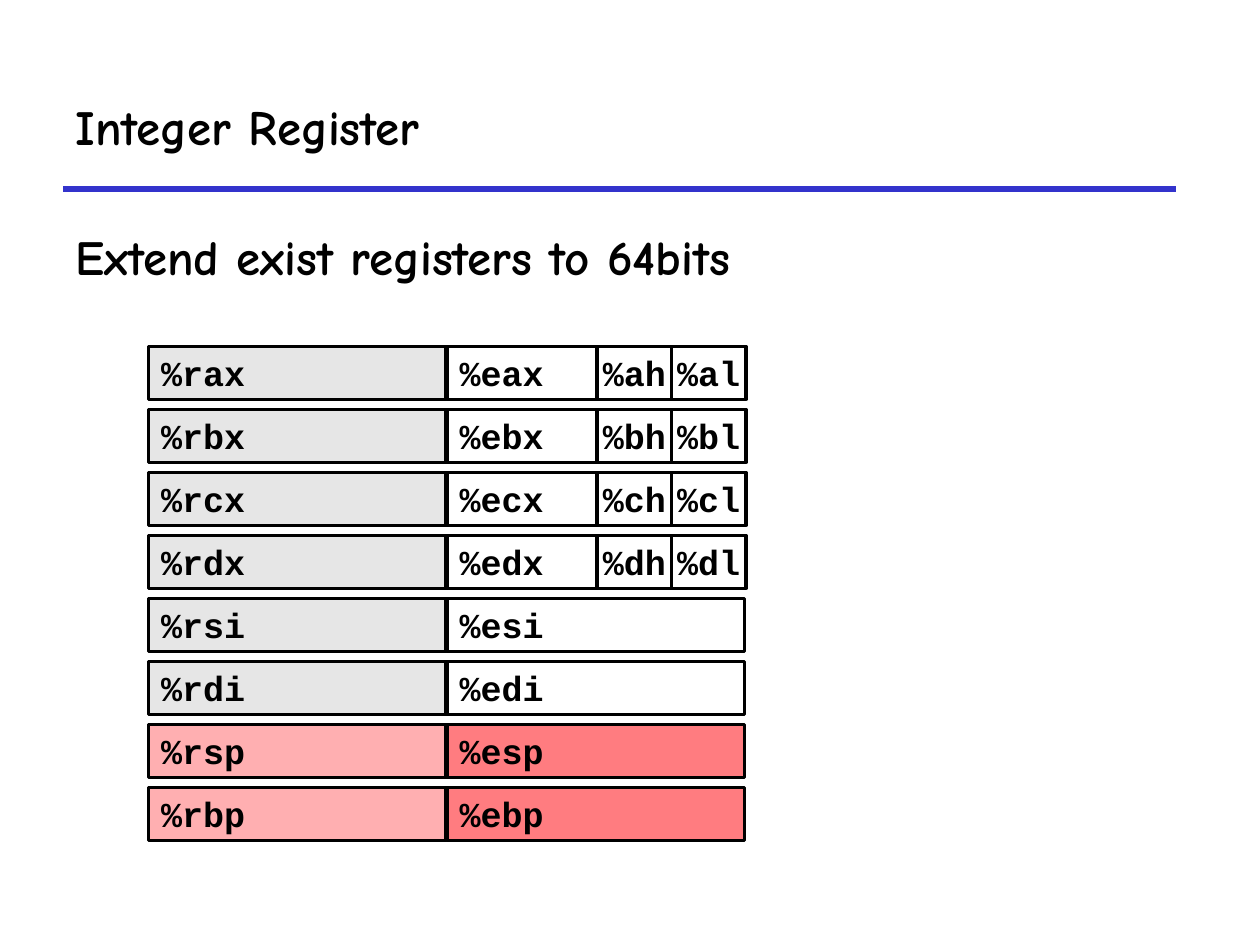
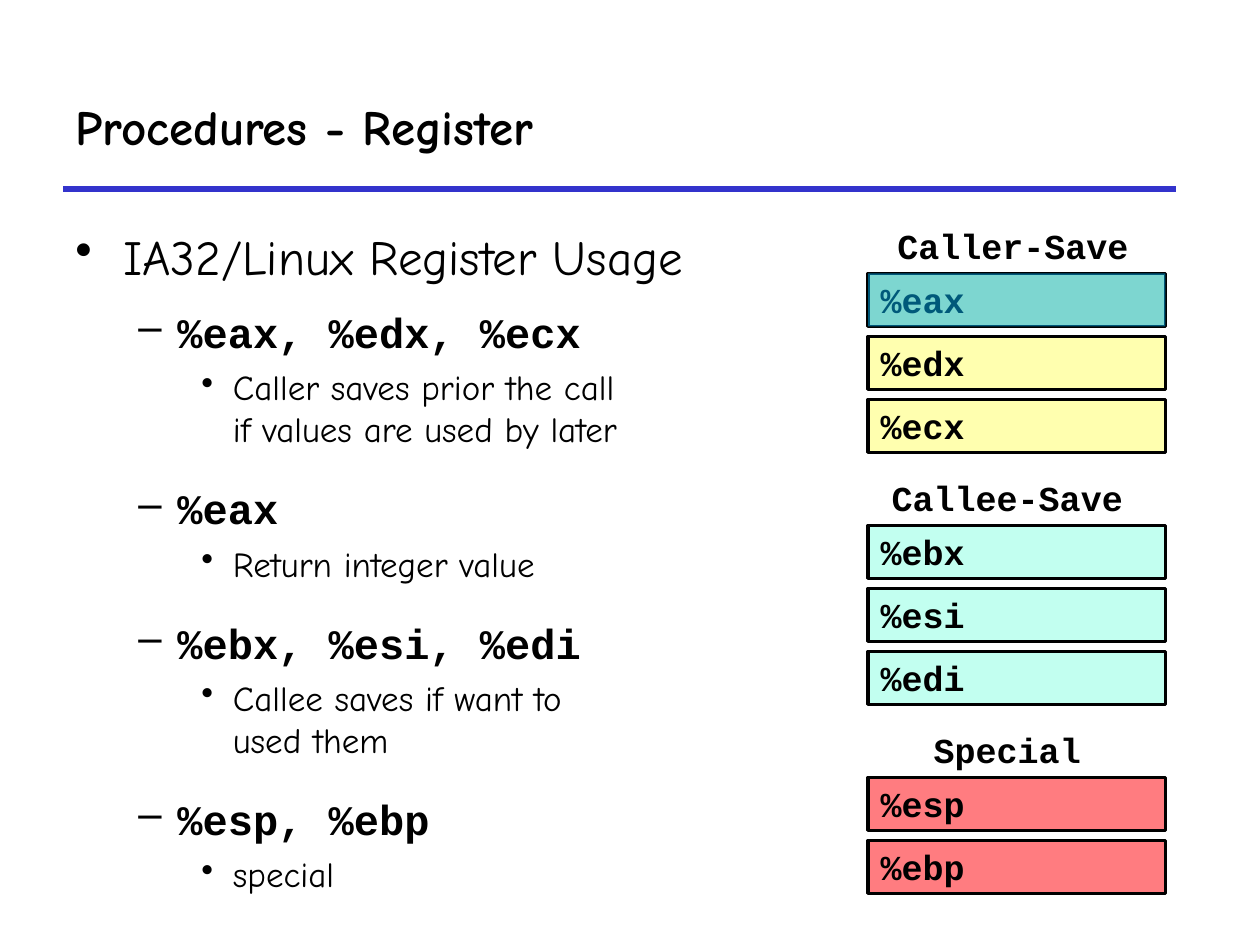
from lxml import etree
from pptx import Presentation
from pptx import util as u
from pptx.dml.color import RGBColor
from pptx.enum import shapes, text
from pptx.oxml import ns

COLORS = {
    "ink": "000000",
    "rule": "3333CC",
    "white": "FFFFFF",
    "extended": "E6E6E6",
    "extended_special": "FFAFB1",
    "special": "FF7C80",
    "caller": "FFFFAF",
    "callee": "C2FFF0",
    "highlight": "00B0F0",
}
PROSE, CODE = "Comic Neue", "Courier New"
ROW_STEP, ROW_HEIGHT = 0.5, 0.42
REGISTER_WIDTH, BYTE_WIDTH = 2.36, 0.59


def write(paragraph, content, font=CODE, size=20, bold=True, align="LEFT", before=0):
    paragraph.text = content
    paragraph.alignment = getattr(text.PP_ALIGN, align)
    paragraph.space_before = u.Pt(before)
    for run in paragraph.runs:
        run.font.name = font
        run.font.size = u.Pt(size)
        run.font.bold = bold
        run.font.color.rgb = RGBColor.from_string(COLORS["ink"])


def add_bullet(paragraph, symbol, margin, hanging):
    properties = paragraph._p.get_or_add_pPr()
    properties.set("marL", str(u.Inches(margin)))
    properties.set("indent", str(-u.Inches(hanging)))
    etree.SubElement(properties, ns.qn("a:buChar")).set("char", symbol)


class Deck:
    LEVELS = (
        dict(symbol="•", margin=0.38, hanging=0.38),
        dict(symbol="–", margin=0.81, hanging=0.31),
        dict(symbol="•", margin=1.25, hanging=0.25),
    )
    FORMATS = (
        dict(font=PROSE, size=28, bold=False),
        dict(font=CODE, size=24, before=19),
        dict(font=PROSE, size=20, bold=False, before=5),
    )

    def __init__(self):
        self.presentation = Presentation()
        self.presentation.slide_width = u.Inches(10)
        self.presentation.slide_height = u.Inches(7.5)
        self.slide = None

    def add_slide(self, title):
        self.slide = self.presentation.slides.add_slide(self.presentation.slide_layouts[6])
        self.rule(0.5, 9.33, 1.5)
        self.label(title, 0.5, 0.5, 8.83, 1, anchor="MIDDLE", font=PROSE, size=28)

    def rule(self, left, right, top):
        line = self.slide.shapes.add_connector(
            shapes.MSO_CONNECTOR.STRAIGHT,
            u.Inches(left), u.Inches(top), u.Inches(right), u.Inches(top))
        line.line.color.rgb = RGBColor.from_string(COLORS["rule"])
        line.line.width = u.Pt(3)
        etree.SubElement(line._element.spPr, ns.qn("a:effectLst"))

    def text_frame(self, left, top, width, height, anchor="TOP"):
        box = self.slide.shapes.add_textbox(*map(u.Inches, (left, top, width, height)))
        box.text_frame.word_wrap = True
        box.text_frame.vertical_anchor = getattr(text.MSO_ANCHOR, anchor)
        return box.text_frame

    def label(self, content, left, top, width, height, anchor="TOP", **style):
        frame = self.text_frame(left, top, width, height, anchor)
        write(frame.paragraphs[0], content, **style)

    def outline(self, items, left, top, width, height):
        frame = self.text_frame(left, top, width, height)
        for index, (level, content, changes) in enumerate(items):
            paragraph = frame.add_paragraph() if index else frame.paragraphs[0]
            write(paragraph, content, **{**self.FORMATS[level], **changes})
            add_bullet(paragraph, **self.LEVELS[level])

    def rectangle(self, left, top, width, fill):
        shape = self.slide.shapes.add_shape(
            shapes.MSO_SHAPE.RECTANGLE,
            *map(u.Inches, (left, top, width, ROW_HEIGHT)))
        shape.shadow.inherit = False
        shape.fill.solid()
        shape.fill.fore_color.rgb = RGBColor.from_string(COLORS[fill])
        return shape

    def register(self, name, left, top, fill, width=REGISTER_WIDTH, inset=0.1, align="LEFT"):
        shape = self.rectangle(left, top, width, fill)
        shape.line.color.rgb = RGBColor.from_string(COLORS["ink"])
        shape.line.width = u.Pt(2)
        frame = shape.text_frame
        frame.word_wrap = True
        frame.vertical_anchor = text.MSO_ANCHOR.MIDDLE
        frame.margin_left = frame.margin_right = u.Inches(inset)
        write(frame.paragraphs[0], name, align=align)

    def highlight(self, left, top, opacity):
        shape = self.rectangle(left, top, REGISTER_WIDTH, "highlight")
        shape.line.fill.background()
        color = shape._element.spPr.find(".//" + ns.qn("a:srgbClr"))
        etree.SubElement(color, ns.qn("a:alpha")).set("val", str(opacity * 1000))


def integer_registers(deck):
    deck.add_slide("Integer Register")
    deck.label("Extend exist registers to 64bits", 0.5, 1.75, 9.08, 0.83, font=PROSE, size=28)
    for row, name in enumerate("ax bx cx dx si di sp bp".split()):
        top = 2.75 + row * ROW_STEP
        special = name.endswith("p")
        deck.register(f"%r{name}", 1.18, top, "extended_special" if special else "extended")
        deck.register(f"%e{name}", 3.55, top, "special" if special else "white")
        if name.endswith("x"):
            for column, half in enumerate("hl"):
                deck.register(f"%{name[0]}{half}", 4.74 + column * BYTE_WIDTH, top, "white",
                              width=BYTE_WIDTH, inset=0, align="CENTER")


def register_usage(deck):
    deck.add_slide("Procedures - Register")
    deck.outline([
        (0, "IA32/Linux Register Usage", {}),
        (1, "%eax, %edx, %ecx", {"before": 12}),
        (2, "Caller saves prior the call\vif values are used by later", {}),
        (1, "%eax", {}),
        (2, "Return integer value", {}),
        (1, "%ebx, %esi, %edi", {}),
        (2, "Callee saves if want to\vused them", {}),
        (1, "%esp, %ebp", {}),
        (2, "special", {}),
    ], 0.5, 1.75, 6.2, 5.42)
    groups = [
        ("Caller-Save", 2.42, "caller", ["%eax", "%edx", "%ecx"]),
        ("Callee-Save", 2.33, "callee", ["%ebx", "%esi", "%edi"]),
        ("Special", 2.33, "special", ["%esp", "%ebp"]),
    ]
    for index, (heading, width, fill, names) in enumerate(groups):
        top = 2.17 + index * 4 * ROW_STEP
        deck.label(heading, 6.83, top - 0.44, width, 0.44, align="CENTER")
        for row, name in enumerate(names):
            deck.register(name, 6.89, top + row * ROW_STEP, fill)
    deck.highlight(6.89, 2.17, 51)


def main():
    deck = Deck()
    integer_registers(deck)
    register_usage(deck)
    deck.presentation.save("out.pptx")


if __name__ == "__main__":
    main()
